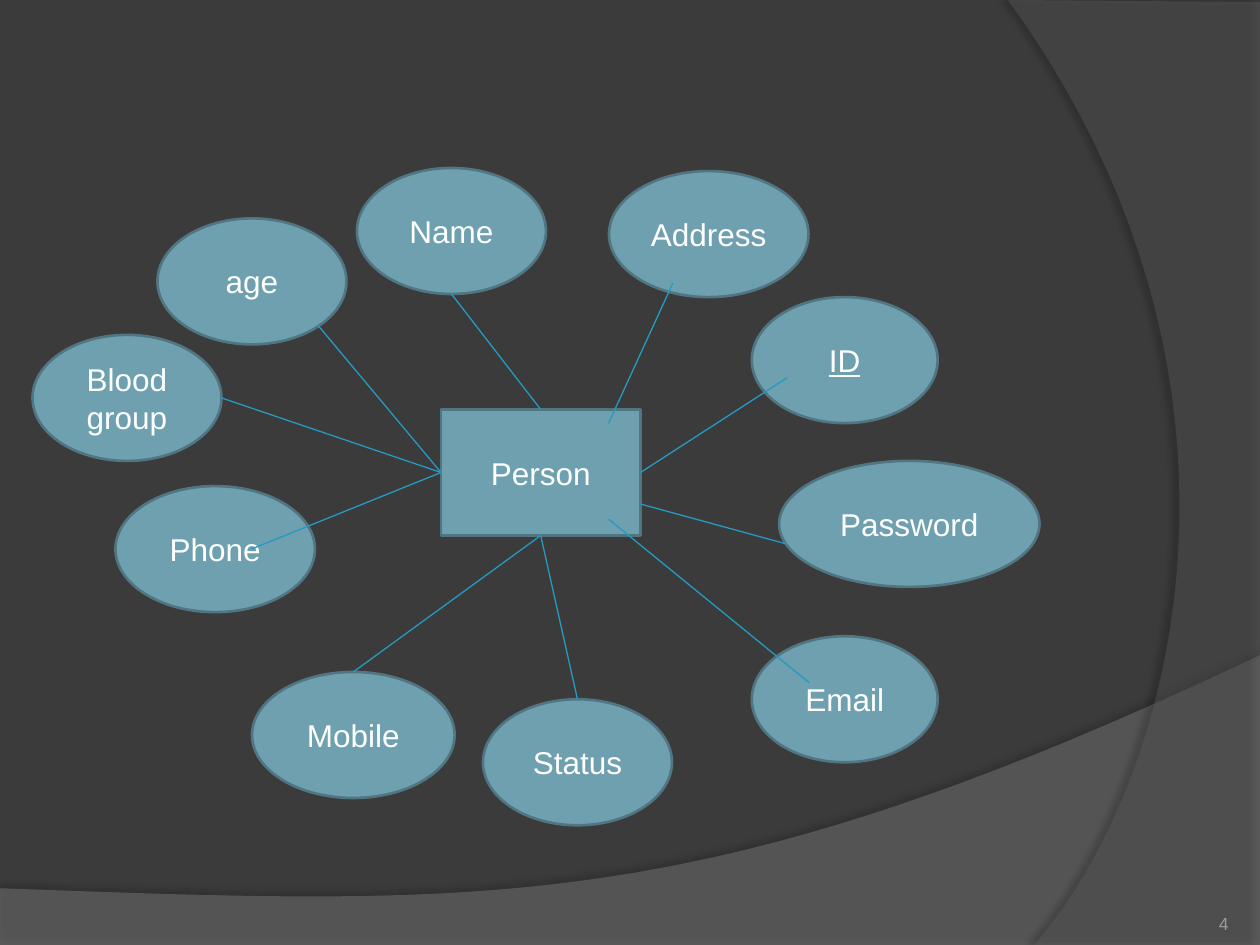
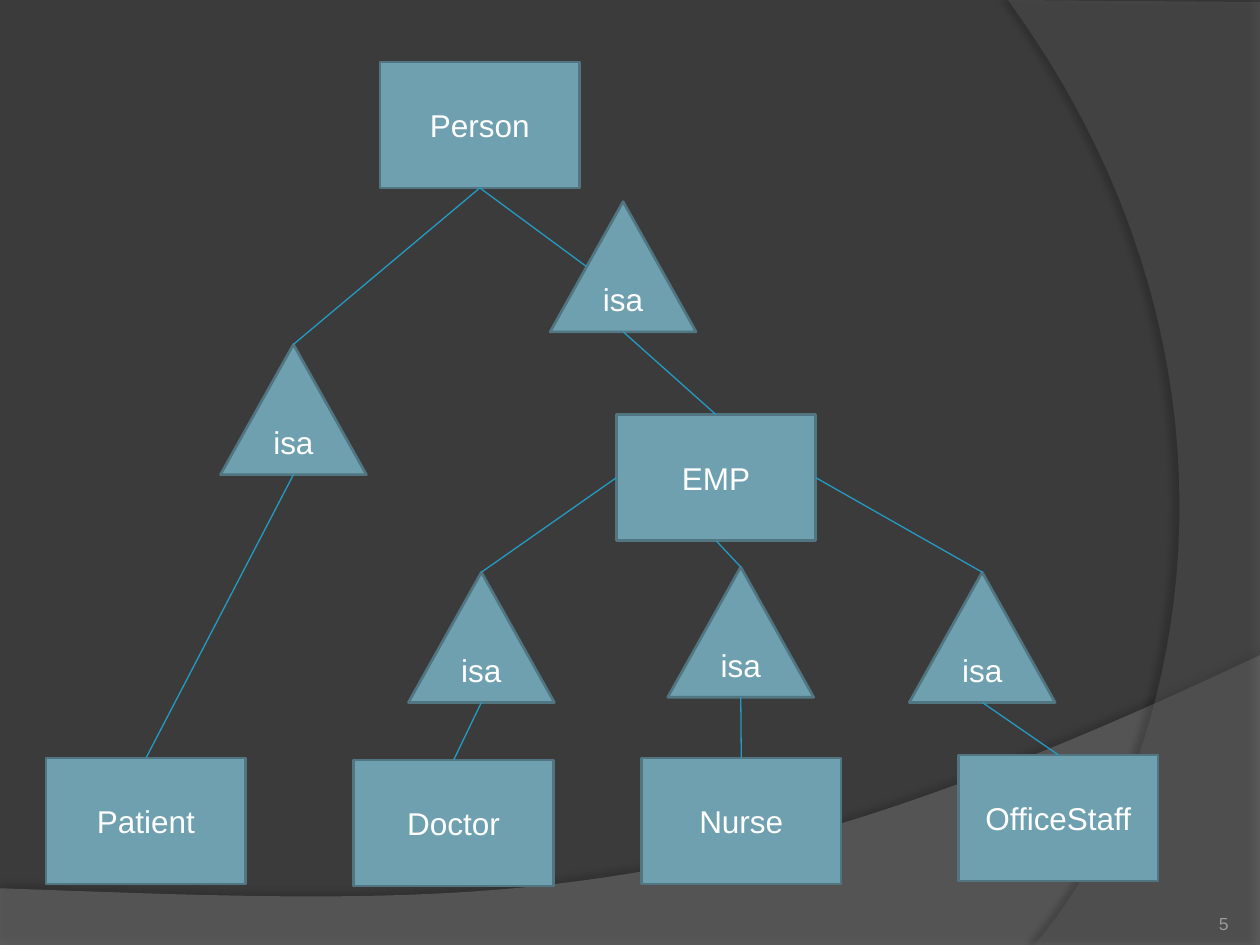
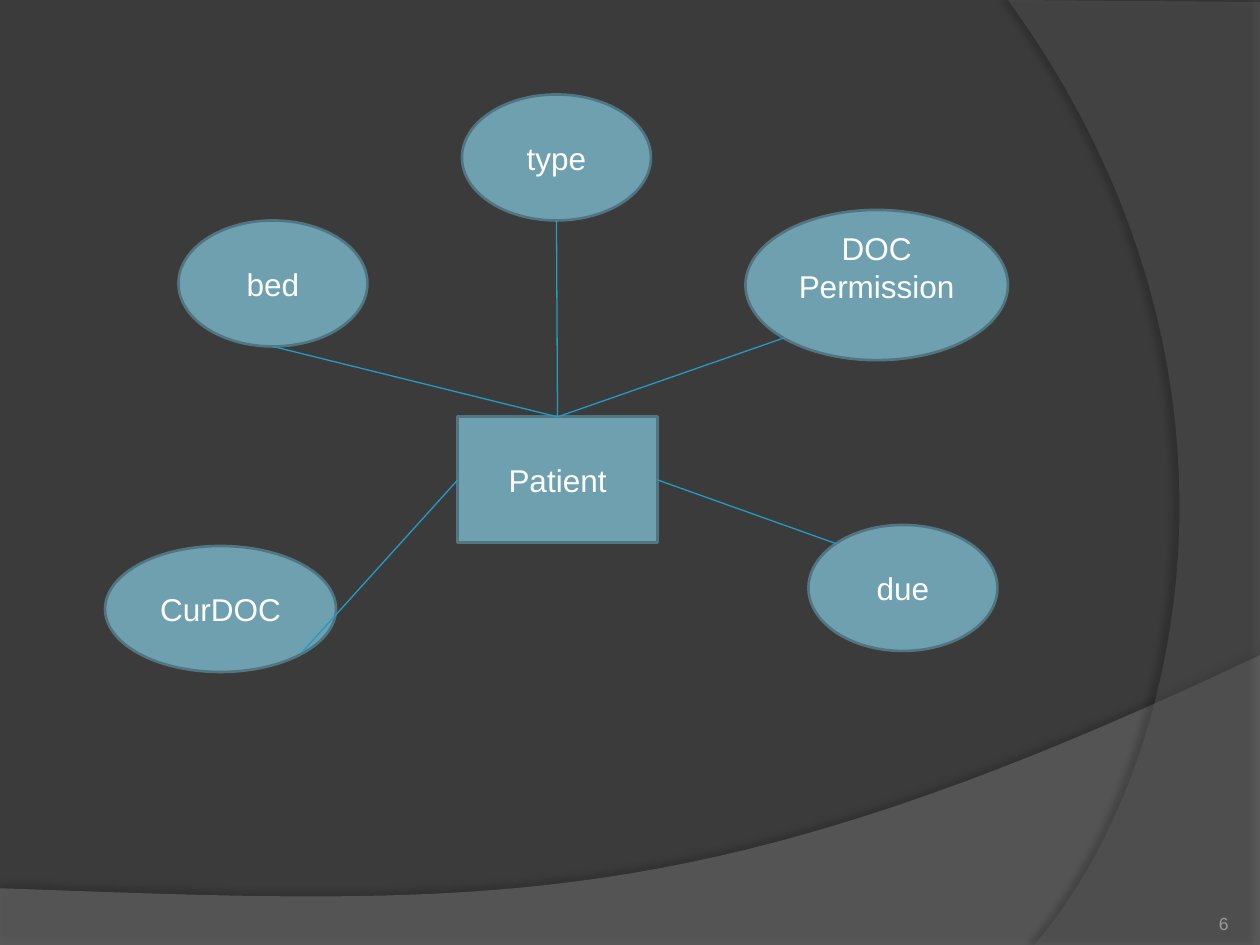
import dataclasses

import pptx
import pptx.dml.color
import pptx.enum.shapes
import pptx.enum.text
import pptx.oxml
import pptx.oxml.ns
import pptx.util

COLUMNS, ROWS = 120, 90
CELL = pptx.util.Inches(10) // COLUMNS


@dataclasses.dataclass(frozen=True)
class Theme:
    background: str = "3B3B3B"
    node_fill: str = "6EA0B0"
    node_line: str = "517682"
    node_text: str = "FFFFFF"
    link: str = "239BC2"
    number: str = "9D9B9A"
    font: str = "Arial"
    node_size: int = 18
    number_size: int = 10
    node_weight: float = 1.5
    link_weight: float = 0.75


THEME = Theme()

BANDS = [
    {"corners": [(0, 84.6), (0, 90), (120, 90), (120, 62.4)],
     "curve": [(67.1, 87.5), (46.9, 86.3), (0, 84.6)],
     "color": "7F7F7F", "opacity": 45, "shadow": (35, 4, 3.5, 270)},
    {"corners": [(120, 0.2), (120, 90), (98.5, 90)],
     "curve": [(112.2, 74.3), (122.2, 36), (96, 0)],
     "color": "5E5E5E", "opacity": 40, "shadow": (45, 4, 4, 180)},
]

KINDS = {
    "entity": (pptx.enum.shapes.MSO_SHAPE.RECTANGLE, 19, 12),
    "attribute": (pptx.enum.shapes.MSO_SHAPE.OVAL, 18, 12),
    "isa": (pptx.enum.shapes.MSO_SHAPE.ISOSCELES_TRIANGLE, 13.9, 12.4),
}

ANCHORS = {
    "top": (0.5, 0), "bottom": (0.5, 1), "left": (0, 0.5), "right": (1, 0.5),
    "top left": (0.15, 0.15), "bottom left": (0.15, 0.85),
    "bottom right": (0.85, 0.85), "slope": (0.25, 0.5),
}

DIAGRAMS = [
    {"number": 4,
     "nodes": {
         "person": ("entity", "Person", 42, 39, {}),
         "name": ("attribute", "Name", 34, 16, {}),
         "address": ("attribute", "Address", 58, 16.3, {"width": 19}),
         "id": ("attribute", "ID", 71.6, 28.3, {"width": 17.7, "underline": True}),
         "email": ("attribute", "Email", 71.6, 60.6, {"width": 17.7}),
         "status": ("attribute", "Status", 46, 66.6, {}),
         "phone": ("attribute", "Phone", 11, 46.3, {"width": 19}),
         "mobile": ("attribute", "Mobile", 24, 64, {"width": 19.3}),
         "password": ("attribute", "Password", 74.2, 43.9, {"width": 24.8}),
         "age": ("attribute", "age", 15, 20.8, {}),
         "blood": ("attribute", "Blood\ngroup", 3.1, 31.9, {}),
     },
     "links": [
         ("person", "top", "name", "bottom"),
         ("person", (0.84, 0.11), "address", (0.32, 0.89)),
         ("person", "right", "id", (0.19, 0.64)),
         ("person", (0.84, 0.87), "email", (0.31, 0.37)),
         ("person", "bottom", "status", "top"),
         ("person", "bottom", "mobile", "top"),
         ("person", "left", "phone", (0.68, 0.5)),
         ("person", (1, 0.75), "password", (0.03, 0.66)),
         ("person", "left", "age", "bottom right"),
         ("person", "left", "blood", "right"),
     ]},
    {"number": 5,
     "nodes": {
         "person": ("entity", "Person", 36.2, 5.9, {}),
         "employee": ("entity", "EMP", 58.7, 39.5, {}),
         "patient": ("entity", "Patient", 4.4, 72.2, {}),
         "doctor": ("entity", "Doctor", 33.7, 72.4, {}),
         "nurse": ("entity", "Nurse", 61.1, 72.2, {}),
         "office": ("entity", "OfficeStaff", 91.3, 71.9, {}),
         "isa patient": ("isa", "isa", 21, 32.8, {}),
         "isa employee": ("isa", "isa", 52.4, 19.2, {}),
         "isa doctor": ("isa", "isa", 38.9, 54.5, {}),
         "isa nurse": ("isa", "isa", 63.6, 54, {}),
         "isa office": ("isa", "isa", 86.6, 54.5, {}),
     },
     "links": [
         ("person", "bottom", "isa patient", "top"),
         ("person", "bottom", "isa employee", "slope"),
         ("isa employee", "bottom", "employee", "top"),
         ("isa patient", "bottom", "patient", "top"),
         ("employee", "left", "isa doctor", "top"),
         ("employee", "bottom", "isa nurse", "top"),
         ("employee", "right", "isa office", "top"),
         ("isa doctor", "bottom", "doctor", "top"),
         ("isa nurse", "bottom", "nurse", "top"),
         ("isa office", "bottom", "office", "top"),
     ]},
    {"number": 6,
     "nodes": {
         "patient": ("entity", "Patient", 43.6, 39.7, {}),
         "bed": ("attribute", "bed", 17, 21, {}),
         "type": ("attribute", "type", 44, 9, {}),
         "due": ("attribute", "due", 77, 50, {}),
         "permission": ("attribute", "DOC Permission", 71, 20,
                        {"width": 25, "height": 14.3, "lift": 3.5}),
         "doctor": ("attribute", "CurDOC", 10, 52, {"width": 22}),
     },
     "links": [
         ("patient", "top", "bed", "bottom"),
         ("patient", "top", "type", "bottom"),
         ("patient", "top", "permission", "bottom left"),
         ("patient", "right", "due", "top left"),
         ("patient", "left", "doctor", "bottom right"),
     ]},
]


def cells(*values):
    return [round(value * CELL) for value in values]


def color(value):
    return pptx.dml.color.RGBColor.from_string(value)


def add_xml(parent, tag, **attributes):
    child = pptx.oxml.parse_xml(f"<a:{tag} {pptx.oxml.ns.nsdecls('a')}/>")
    for name, value in attributes.items():
        child.set(name, str(value))
    parent.append(child)
    return child


def write(shape, lines, size, text_color, alignment, anchor, insets, underline=None):
    frame = shape.text_frame
    frame.word_wrap = True
    frame.vertical_anchor = anchor
    frame.margin_left, frame.margin_top, frame.margin_right, frame.margin_bottom = cells(*insets)
    for index, line in enumerate(lines):
        paragraph = frame.add_paragraph() if index else frame.paragraphs[0]
        paragraph.alignment = alignment
        run = paragraph.add_run()
        run.text = line
        run.font.name = THEME.font
        run.font.size = pptx.util.Pt(size)
        run.font.color.rgb = color(text_color)
        run.font.underline = underline


def curve_points(start, first, second, end, steps=40):
    for step in range(1, steps + 1):
        t = step / steps
        weights = ((1 - t) ** 3, 3 * t * (1 - t) ** 2, 3 * t * t * (1 - t), t ** 3)
        yield tuple(sum(weight * point[axis] for weight, point in
                        zip(weights, (start, first, second, end))) for axis in (0, 1))


def draw_band(slide, band):
    corners = band["corners"]
    points = corners + list(curve_points(corners[-1], *band["curve"]))
    outline = [tuple(cells(*point)) for point in points]
    builder = slide.shapes.build_freeform(*outline[0], scale=1.0)
    builder.add_line_segments(outline[1:], close=True)
    shape = builder.convert_to_shape()
    shape.fill.solid()
    shape.fill.fore_color.rgb = color(band["color"])
    shape.line.fill.background()
    shape.shadow.inherit = False
    properties = shape.element.spPr
    fill = properties.find(pptx.oxml.ns.qn("a:solidFill"))
    add_xml(fill[0], "alpha", val=band["opacity"] * 1000)
    opacity, blur, distance, angle = band["shadow"]
    effects = properties.find(pptx.oxml.ns.qn("a:effectLst"))
    shadow = add_xml(effects, "outerShdw", blurRad=pptx.util.Pt(blur),
                     dist=pptx.util.Pt(distance), dir=angle * 60000,
                     algn="ctr", rotWithShape=0)
    add_xml(add_xml(shadow, "srgbClr", val="000000"), "alpha", val=opacity * 1000)
    return shape


def decorate_master(master, slide):
    master.background.fill.solid()
    master.background.fill.fore_color.rgb = color(THEME.background)
    for index, band in enumerate(BANDS):
        element = draw_band(slide, band).element
        element.nvSpPr.cNvPr.set("id", str(100 + index))
        master.shapes.element.append(element)


def draw_node(slide, kind, text, left, top, options):
    preset, width, height = KINDS[kind]
    box = cells(left, top, options.get("width", width), options.get("height", height))
    shape = slide.shapes.add_shape(preset, *box)
    shape.shadow.inherit = False
    shape.fill.solid()
    shape.fill.fore_color.rgb = color(THEME.node_fill)
    shape.line.color.rgb = color(THEME.node_line)
    shape.line.width = pptx.util.Pt(THEME.node_weight)
    write(shape, text.split("\n"), THEME.node_size, THEME.node_text,
          pptx.enum.text.PP_ALIGN.CENTER, pptx.enum.text.MSO_ANCHOR.MIDDLE,
          (0.6, 0.6, 0.6, 0.6 + options.get("lift", 0)), options.get("underline"))
    return shape


def anchor_point(shape, anchor):
    across, down = ANCHORS.get(anchor, anchor)
    return round(shape.left + across * shape.width), round(shape.top + down * shape.height)


def draw_link(slide, begin, end):
    connector = slide.shapes.add_connector(
        pptx.enum.shapes.MSO_CONNECTOR.STRAIGHT, *begin, *end)
    connector.line.color.rgb = color(THEME.link)
    connector.line.width = pptx.util.Pt(THEME.link_weight)
    add_xml(connector.element.spPr, "effectLst")


def draw_diagram(slide, diagram):
    shapes = {name: draw_node(slide, *node) for name, node in diagram["nodes"].items()}
    for source, source_anchor, target, target_anchor in diagram["links"]:
        draw_link(slide, anchor_point(shapes[source], source_anchor),
                  anchor_point(shapes[target], target_anchor))
    number = slide.shapes.add_textbox(*cells(107, 84.2, 10, 4.8))
    write(number, [str(diagram["number"])], THEME.number_size, THEME.number,
          pptx.enum.text.PP_ALIGN.RIGHT, pptx.enum.text.MSO_ANCHOR.BOTTOM, (0, 0, 0, 0))


presentation = pptx.Presentation()
presentation.slide_width, presentation.slide_height = cells(COLUMNS, ROWS)
slides = [presentation.slides.add_slide(presentation.slide_layouts[6]) for _ in DIAGRAMS]
decorate_master(presentation.slide_master, slides[0])
for slide, diagram in zip(slides, DIAGRAMS):
    draw_diagram(slide, diagram)
presentation.save("out.pptx")
